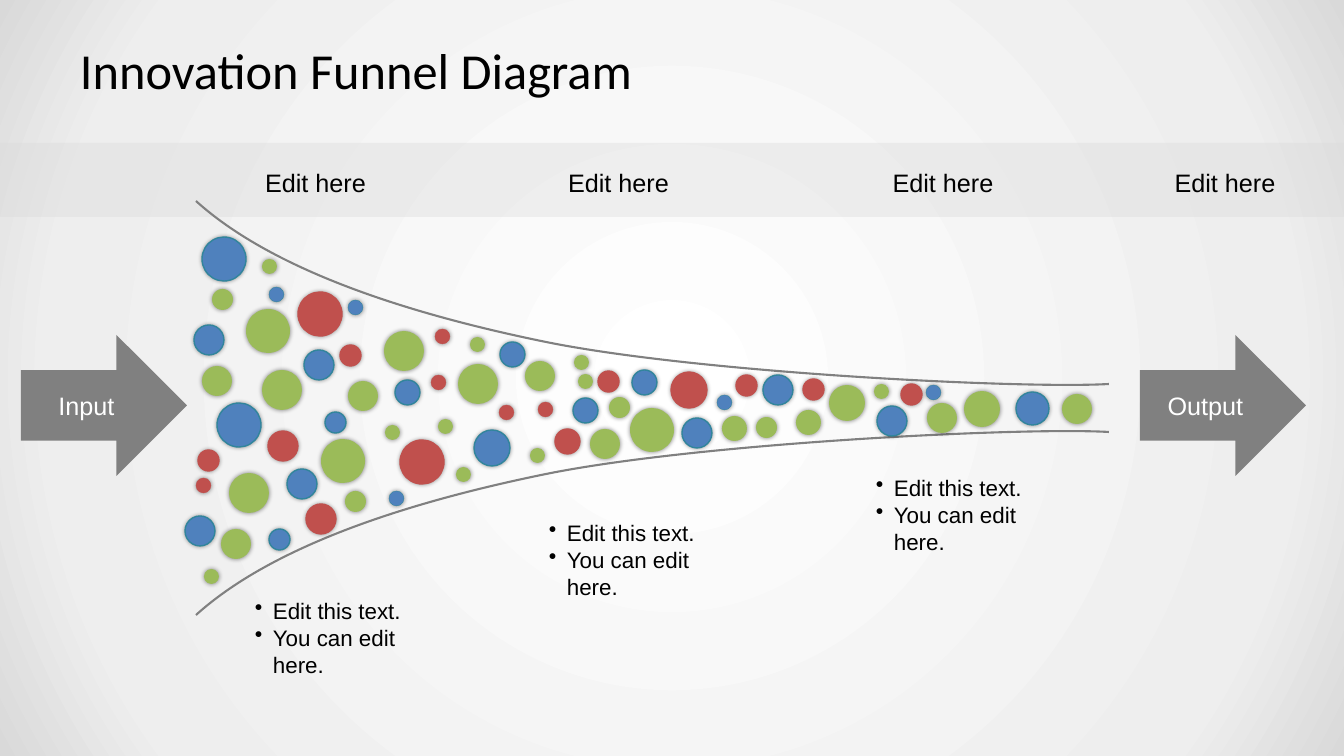
"""Build the innovation funnel slide."""
import pptx
import pptx.dml.color
import pptx.enum.shapes
import pptx.enum.text
import pptx.oxml
import pptx.oxml.ns
import pptx.util

RGB = pptx.dml.color.RGBColor
BLACK = RGB(0x00, 0x00, 0x00)
WHITE = RGB(0xFF, 0xFF, 0xFF)
GRAY = RGB(0x80, 0x80, 0x80)
PALE = RGB(0xD9, 0xD9, 0xD9)
RED = RGB(0xC0, 0x50, 0x4D)
GREEN = RGB(0x9B, 0xBB, 0x59)
BLUE = RGB(0x4F, 0x81, 0xBD)
TEAL = RGB(0x31, 0x85, 0x9C)

SCALE = 914400 / 100.8
WIDE, HIGH = 1344, 756
MID = 408
KIND = pptx.enum.shapes.MSO_SHAPE
ALIGN = pptx.enum.text.PP_ALIGN
ANCHOR = pptx.enum.text.MSO_ANCHOR
TAG = pptx.oxml.ns.qn
SPACE = pptx.oxml.ns.nsdecls("a")

CURVE = [(1109, 384), (1022, 389), (699, 373), (546, 342),
         (394, 311), (268, 266), (196, 201)]

DOTS = [
    (RED, RED, {
        44: [(298, 292), (400, 440)],
        36: [(671, 372)],
        30: [(268, 431), (306, 504)],
        25: [(555, 429)],
        21: [(340, 345), (198, 450), (736, 375), (598, 371), (901, 384),
             (803, 379)],
        15: [(538, 402), (435, 329), (499, 405), (431, 375), (196, 478)],
    }),
    (GREEN, None, {
        44: [(321, 439), (246, 309), (630, 408)],
        40: [(262, 370), (458, 364), (384, 331), (229, 473)],
        36: [(829, 385), (964, 391)],
        30: [(525, 361), (348, 381), (202, 366), (221, 529), (590, 429),
             (927, 403), (1062, 394)],
        25: [(722, 416), (796, 410)],
        21: [(345, 491), (212, 289), (609, 397), (756, 417)],
        15: [(438, 419), (530, 448), (385, 425), (456, 467), (470, 337),
             (262, 259), (204, 569), (574, 355), (578, 374), (874, 384)],
    }),
    (BLUE, TEAL, {
        44: [(202, 237), (217, 403)],
        36: [(474, 430)],
        33: [(1016, 392)],
        30: [(304, 350), (194, 325), (287, 469), (185, 516), (682, 418),
             (877, 406), (763, 375)],
        25: [(395, 380), (500, 342), (632, 370), (573, 398)],
        21: [(325, 412), (269, 529)],
        15: [(389, 491), (348, 300), (269, 287), (717, 395), (926, 385)],
    }),
]

HEADS = [("Edit here ", 219, 200), ("Edit here", 522, 193),
         ("Edit here", 848, 190), ("Edit here", 1106, 238)]
NOTES = [(245, 592), (539, 514), (866, 469)]
ARROWS = [("Input", 21), ("Output", 1140)]


def emu(px):
    """Turn px into EMU."""
    return pptx.util.Emu(round(px * SCALE))


def paint(slide):
    """Fill the background with a round gradient."""
    slide.background.fill.gradient()
    grad = next(slide._element.iter(TAG("a:gradFill")))
    grad.clear()
    stops = "".join(
        f'<a:gs pos="{pos}"><a:srgbClr val="{color}"/></a:gs>'
        for pos, color in ((0, "FFFFFF"), (81000, "EEEEEE"), (100000, "D9D9D9")))
    grad.append(pptx.oxml.parse_xml(f"<a:gsLst {SPACE}>{stops}</a:gsLst>"))
    grad.append(pptx.oxml.parse_xml(
        f'<a:path {SPACE} path="circle"><a:fillToRect l="50000" t="50000" '
        'r="50000" b="50000"/></a:path>'))


def add_shape(slide, kind, box, fill, edge=None, width=1):
    """Add a flat shape with an optional edge."""
    shape = slide.shapes.add_shape(kind, *map(emu, box))
    shape.shadow.inherit = False
    shape.fill.solid()
    shape.fill.fore_color.rgb = fill
    if edge is None:
        shape.line.fill.background()
    else:
        shape.line.color.rgb = edge
        shape.line.width = pptx.util.Pt(width)
    return shape


def add_band(slide):
    """Add the clear band behind the heads."""
    band = add_shape(slide, KIND.RECTANGLE, (0, 143, WIDE, 74), PALE)
    color = next(band._element.iter(TAG("a:srgbClr")))
    color.append(pptx.oxml.parse_xml(f'<a:alpha {SPACE} val="36000"/>'))


def add_curve(slide, points):
    """Draw cubic curves through a start and triples of points."""
    pen = slide.shapes.build_freeform(*map(emu, points[0]), scale=1.0)
    pen.add_line_segments([tuple(map(emu, p)) for p in points[1:]], close=False)
    shape = pen.convert_to_shape()
    shape.shadow.inherit = False
    shape.fill.background()
    shape.line.color.rgb = GRAY
    shape.line.width = pptx.util.Pt(1.5)
    lines = list(shape._element.iter(TAG("a:lnTo")))
    for first in range(0, len(lines), 3):
        bend = pptx.oxml.parse_xml(f"<a:cubicBezTo {SPACE}/>")
        lines[first].addprevious(bend)
        for line in lines[first:first + 3]:
            bend.append(line[0])
            line.getparent().remove(line)


def add_dot(slide, x, y, size, fill, edge):
    """Add a dot with a soft glow of shade."""
    dot = add_shape(slide, KIND.OVAL, (x, y, size, size), fill, edge,
                    0.25 if size == 15 else 1)
    next(dot._element.iter(TAG("a:effectLst"))).append(pptx.oxml.parse_xml(
        f'<a:outerShdw {SPACE} blurRad="38100" dist="0" dir="0">'
        '<a:srgbClr val="000000"><a:alpha val="40000"/></a:srgbClr>'
        '</a:outerShdw>'))


def write(frame, lines, size, color=BLACK, name="Arial", align=ALIGN.LEFT):
    """Write lines in one font."""
    frame.word_wrap = True
    frame.text = "\n".join(lines)
    for para in frame.paragraphs:
        para.alignment = align
        para.font.size = pptx.util.Pt(size)
        para.font.name = name
        para.font.color.rgb = color


def add_text(slide, box, lines, size, anchor=ANCHOR.MIDDLE, **style):
    """Add a text box."""
    frame = slide.shapes.add_textbox(*map(emu, box)).text_frame
    frame.vertical_anchor = anchor
    write(frame, lines, size, **style)
    return frame


def add_note(slide, x, y):
    """Add a list with bullets."""
    frame = add_text(slide, (x, y, 200, 124),
                     ["Edit this text.", "You can edit here."], 16, ANCHOR.TOP)
    for para in frame.paragraphs:
        props = para._p.get_or_add_pPr()
        props.set("marL", str(emu(18)))
        props.set("indent", str(emu(-18)))
        props.insert(0, pptx.oxml.parse_xml(f'<a:buChar {SPACE} char="•"/>'))


def add_arrow(slide, label, x):
    """Add a block arrow with its label."""
    arrow = add_shape(slide, KIND.RIGHT_ARROW, (x, 335, 166, 141), GRAY)
    arrow.text_frame.vertical_anchor = ANCHOR.MIDDLE
    write(arrow.text_frame, [label], 18, WHITE, align=ALIGN.CENTER)


def main():
    """Build and save the slide."""
    deck = pptx.Presentation()
    deck.slide_width, deck.slide_height = emu(WIDE), emu(HIGH)
    slide = deck.slides.add_slide(deck.slide_layouts[6])
    paint(slide)
    add_band(slide)
    add_curve(slide, CURVE)
    add_curve(slide, [(x, 2 * MID - y) for x, y in CURVE])
    title = add_text(slide, (67, 30, 1210, 79), ["Innovation Funnel Diagram"],
                     36, name="Calibri")
    title.margin_left = title.margin_right = emu(13)
    title.margin_top = title.margin_bottom = emu(7)
    for fill, edge, sizes in DOTS:
        for size, spots in sizes.items():
            for x, y in spots:
                add_dot(slide, x, y, size, fill, edge)
    for label, x, width in HEADS:
        add_text(slide, (x, 145, width, 74), [label], 18, align=ALIGN.CENTER)
    for x, y in NOTES:
        add_note(slide, x, y)
    for label, x in ARROWS:
        add_arrow(slide, label, x)
    deck.save("out.pptx")


if __name__ == "__main__":
    main()
